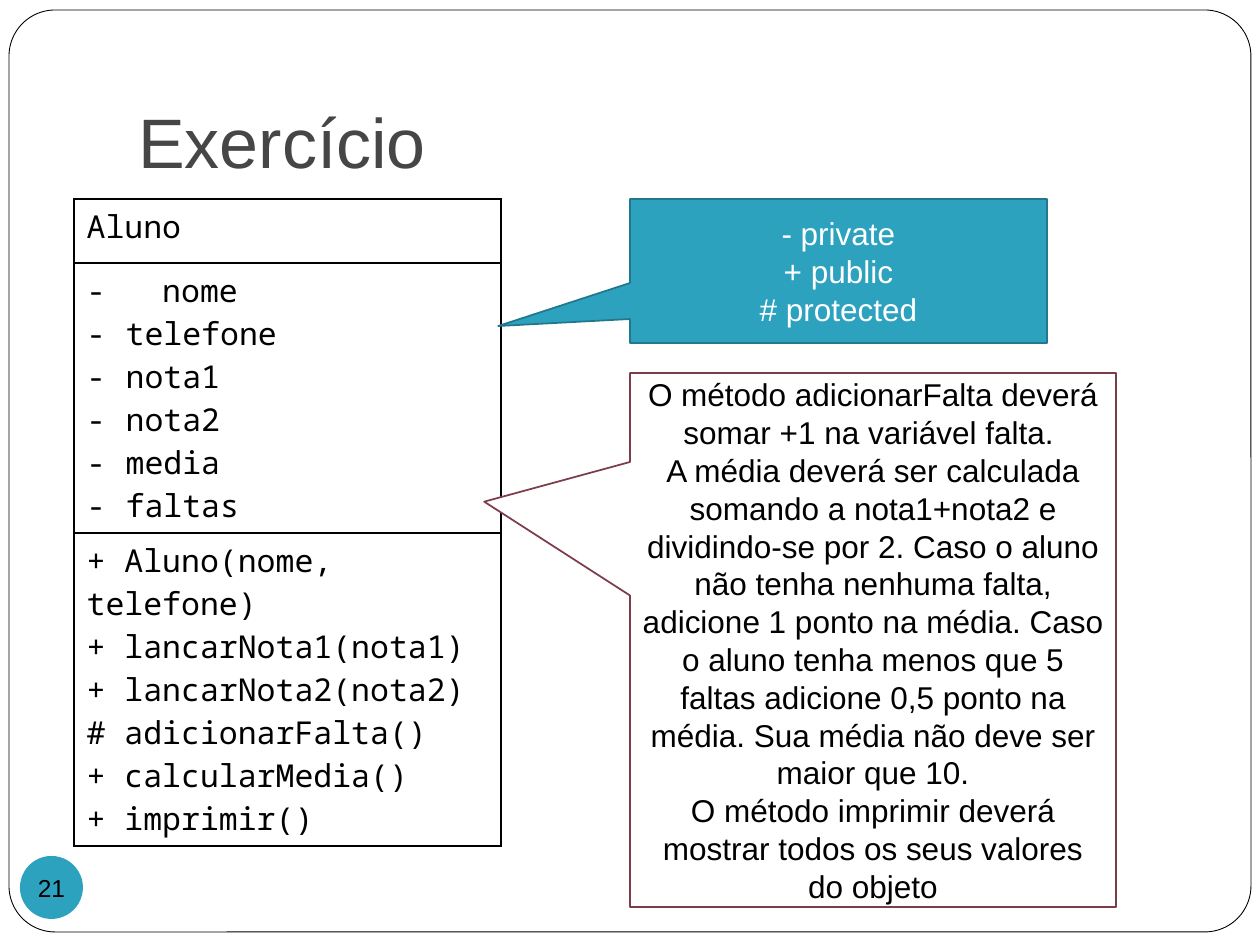
"""Build the "Exercício" slide: a UML class table with two callouts."""
from lxml.etree import SubElement
from pptx import Presentation
from pptx.dml.color import RGBColor
from pptx.enum.shapes import MSO_SHAPE as SHAPE
from pptx.enum.text import MSO_ANCHOR as ANCHOR, PP_ALIGN as ALIGN
from pptx.oxml.ns import qn
from pptx.util import Pt

PX = 914400 / 126
MONO = "Noto Sans Mono"
BLACK = RGBColor(0x00, 0x00, 0x00)
WHITE = RGBColor(0xFF, 0xFF, 0xFF)
GREY = RGBColor(0x46, 0x46, 0x46)
TEAL = RGBColor(0x2D, 0xA2, 0xBF)
DARK_TEAL = RGBColor(0x21, 0x78, 0x8D)
WINE = RGBColor(0x7D, 0x3C, 0x4A)


def write(tf, lines, size, color, font="Arial", align=ALIGN.LEFT):
    tf.word_wrap = True
    for i, line in enumerate(lines):
        p = tf.add_paragraph() if i else tf.paragraphs[0]
        p.alignment = align
        r = p.add_run()
        r.text = line
        r.font.size = Pt(size)
        r.font.name = font
        r.font.color.rgb = color


def add_shape(kind, box, fill, line=None, width=1, adj=()):
    sp = slide.shapes.add_shape(kind, *[round(v * PX) for v in box])
    sp.shadow.inherit = False
    sp.fill.solid()
    sp.fill.fore_color.rgb = fill
    if line is None:
        sp.line.fill.background()
    else:
        sp.line.color.rgb = line
        sp.line.width = Pt(width)
    for i, value in enumerate(adj):
        sp.adjustments[i] = value
    sp.text_frame.vertical_anchor = ANCHOR.MIDDLE
    return sp


prs = Presentation()
prs.slide_width = round(1260 * PX)
prs.slide_height = round(945 * PX)
slide = prs.slides.add_slide(prs.slide_layouts[6])

add_shape(SHAPE.ROUNDED_RECTANGLE, (9, 10, 1242, 922), WHITE, BLACK, 0.5, [0.05])

title = slide.shapes.add_textbox(*[round(v * PX) for v in (126, 38, 1071, 157)])
tf = title.text_frame
tf.vertical_anchor = ANCHOR.BOTTOM
tf.margin_bottom = round(13 * PX)
write(tf, ["Exercício"], 40, GREY)

sections = [
    (64, ["Aluno"]),
    (270, ["-   nome", "telefone", "nota1", "nota2", "media", "faltas"]),
    (313, ["+ Aluno(nome, telefone)", "+ lancarNota1(nota1)", "+ lancarNota2(nota2)",
           "# adicionarFalta()", "+ calcularMedia()", "+ imprimir()"]),
]
total = sum(height for height, _ in sections)
box = [round(v * PX) for v in (74, 199, 427, total)]
table = slide.shapes.add_table(len(sections), 1, *box).table
table.first_row = table.horz_banding = False
for i, (height, lines) in enumerate(sections):
    table.rows[i].height = round(height * PX)
    cell = table.cell(i, 0)
    write(cell.text_frame, lines, 18, BLACK, MONO)
    tcPr = cell._tc.get_or_add_tcPr()
    for side in ("a:lnL", "a:lnR", "a:lnT", "a:lnB"):
        ln = SubElement(tcPr, qn(side), w=str(Pt(1)))
        fill = SubElement(ln, qn("a:solidFill"))
        SubElement(fill, qn("a:srgbClr"), val=str(BLACK))
    cell.fill.background()

indent = round(39 * PX)
for p in table.cell(1, 0).text_frame.paragraphs[1:]:
    pPr = p._p.get_or_add_pPr()
    pPr.set("marL", str(indent))
    pPr.set("indent", str(-indent))
    SubElement(pPr, qn("a:buFont"), typeface=MONO)
    SubElement(pPr, qn("a:buChar"), char="-")

badge = add_shape(SHAPE.OVAL, (20, 856, 63, 63), TEAL)
tf = badge.text_frame
tf.margin_left = tf.margin_right = tf.margin_top = tf.margin_bottom = 0
write(tf, ["21"], 14, BLACK, align=ALIGN.CENTER)
tf.word_wrap = False

callouts = [
    ((630, 199, 417, 144), TEAL, DARK_TEAL, WHITE, (-0.816, 0.382),
     ["- private", "+ public", "# protected"]),
    ((630, 373, 486, 534), WHITE, WINE, BLACK, (-0.8, -0.259),
     ["O método adicionarFalta deverá somar +1 na variável falta. ",
      "A média deverá ser calculada somando a nota1+nota2 e dividindo-se por 2. "
      "Caso o aluno não tenha nenhuma falta, adicione 1 ponto na média. "
      "Caso o aluno tenha menos que 5 faltas adicione 0,5 ponto na média. "
      "Sua média não deve ser maior que 10.",
      "O método imprimir deverá mostrar todos os seus valores do objeto"]),
]
for box, fill, line, color, tip, lines in callouts:
    sp = add_shape(SHAPE.RECTANGULAR_CALLOUT, box, fill, line, adj=tip)
    write(sp.text_frame, lines, 18, color, align=ALIGN.CENTER)

prs.save("out.pptx")
